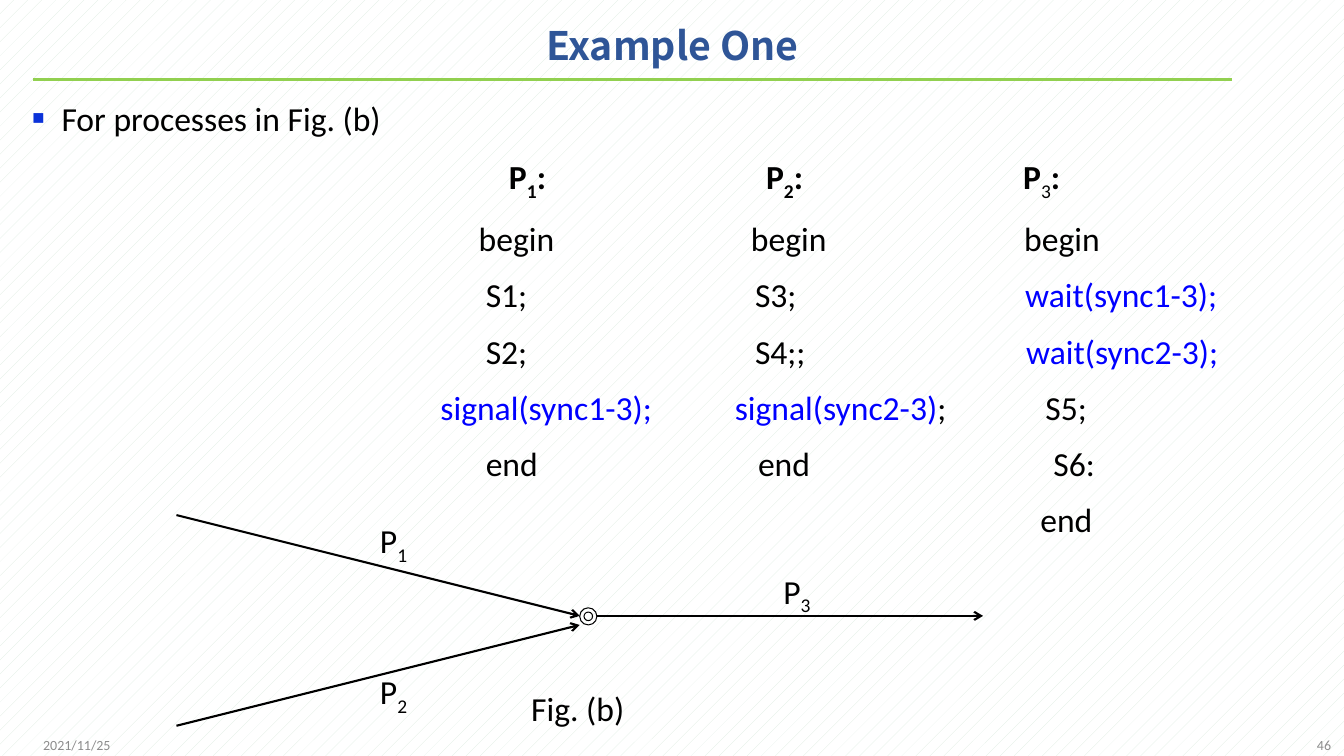
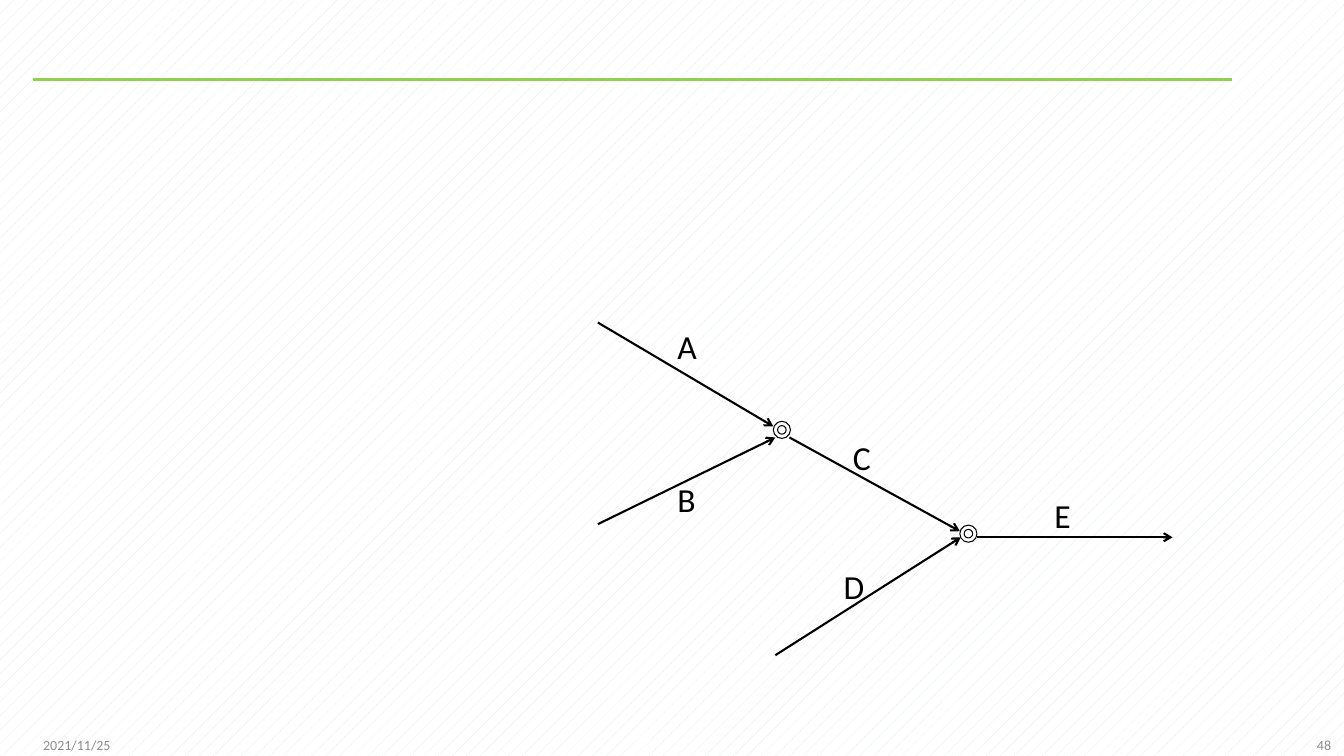
from lxml import etree
from pptx import Presentation
from pptx import util as u
from pptx.dml.color import RGBColor
from pptx.enum import dml, shapes, text
from pptx.oxml import ns

PX = 9144  # EMU in one px, 100 px to the inch
COLORS = {
    "black": "000000", "white": "FFFFFF", "hatch": "DCECE0", "rule": "92D050",
    "title": "2F5597", "bullet": "0B32D9", "code": "0000FF", "footer": "8C8C8C",
}
BODY_FONT, TITLE_FONT = "Calibri", "Noto Sans CJK SC"
NODE = 17  # diameter of a junction

BOLD, SUB, BLUE = {"bold": True}, {"sub": True}, {"color": "code"}


def process(number, **fmt):
    return [("P", BOLD), (number, {**SUB, **fmt}), (":", BOLD)]


# Left edge of each process listing, then its lines as (indent, runs)
LISTINGS = [
    (427, [(68, process("1", **BOLD)), (38, [("begin", {})]), (45, [("S1;", {})]),
           (45, [("S2;", {})]), (0, [("signal(sync1-3);", BLUE)]),
           (45, [("end", {})])]),
    (719, [(31, process("2", **BOLD)), (16, [("begin", {})]), (20, [("S3;", {})]),
           (20, [("S4;;", {})]), (0, [("signal(sync2-3)", BLUE), (";", {})]),
           (23, [("end", {})])]),
    (1005, [(0, process("3")), (1, [("begin", {})]), (2, [("wait(sync1-3);", BLUE)]),
            (3, [("wait(sync2-3);", BLUE)]), (22, [("S5;", {})]),
            (30, [("S6:", {})]), (17, [("end", {})])]),
]


def px(*values):
    return [u.Emu(v * PX) for v in values]


def rgb(name):
    return RGBColor.from_string(COLORS[name])


def add_run(p, content, size=24, color="black", font=BODY_FONT, bold=False, sub=False):
    r = p.add_run()
    r.text = content
    r.font.size, r.font.name, r.font.bold = u.Pt(size), font, bold
    r.font.color.rgb = rgb(color)
    if sub:
        r._r.get_or_add_rPr().set("baseline", "-25000")


def add_child(parent, tag, **attrs):
    return etree.SubElement(parent, ns.qn(tag), attrs)


def place(sp, *box):
    sp.left, sp.top, sp.width, sp.height = px(*box)


def add_line(s, start, end, color="black", width=1.5, arrow=True):
    line = s.shapes.add_connector(shapes.MSO_CONNECTOR.STRAIGHT, *px(*start, *end))
    line.line.color.rgb = rgb(color)
    line.line.width = u.Pt(width)
    if arrow:
        add_child(line.get_or_add_ln(), "a:tailEnd", type="arrow")
    add_child(line._element.spPr, "a:effectLst")


def add_node(s, x, y):
    sp = s.shapes.add_shape(shapes.MSO_SHAPE.DONUT, *px(x, y, NODE, NODE))
    sp.adjustments[0] = 0.25
    sp.shadow.inherit = False
    sp.fill.background()
    sp.line.color.rgb = rgb("black")
    sp.line.width = u.Pt(0.75)


def add_label(s, x, y, content, sub="", width=40):
    tf = s.shapes.add_textbox(*px(x, y, width, 50)).text_frame
    tf.word_wrap = False
    add_run(tf.paragraphs[0], content)
    if sub:
        add_run(tf.paragraphs[0], sub, sub=True)


def add_footer(s, x, content, align):
    tf = s.shapes.add_textbox(*px(x, 719, 300, 40)).text_frame
    tf.word_wrap = True
    tf.vertical_anchor = text.MSO_ANCHOR.MIDDLE
    tf.paragraphs[0].alignment = align
    add_run(tf.paragraphs[0], content, size=10, color="footer")


def add_slide(prs, layout, number):
    """Add a slide with the shared rule, date and page number."""
    s = prs.slides.add_slide(prs.slide_layouts[layout])
    add_line(s, (33, 79), (1222, 79), color="rule", width=2.25, arrow=False)
    add_footer(s, 33, "2021/11/25", text.PP_ALIGN.LEFT)
    add_footer(s, 1030, number, text.PP_ALIGN.RIGHT)
    return s


def set_title(s, content):
    sp = s.shapes.title
    place(sp, 34, 9, 1265, 77)
    tf = sp.text_frame
    tf.auto_size = text.MSO_AUTO_SIZE.NONE
    tf.vertical_anchor = text.MSO_ANCHOR.MIDDLE
    p = tf.paragraphs[0]
    p.alignment, p.line_spacing = text.PP_ALIGN.CENTER, 0.9
    add_run(p, content, size=28, color="title", font=TITLE_FONT, bold=True)


def set_indent(p, left, first=0):
    pPr = p._p.get_or_add_pPr()
    pPr.set("marL", str(left * PX))
    pPr.set("indent", str(first * PX))
    return pPr


def set_body(s, content):
    sp = s.placeholders[1]
    place(sp, 22, 84, 1294, 57)
    tf = sp.text_frame
    tf.auto_size = text.MSO_AUTO_SIZE.NONE
    p = tf.paragraphs[0]
    pPr = set_indent(p, 29, -29)
    add_child(add_child(pPr, "a:buClr"), "a:srgbClr", val=COLORS["bullet"])
    add_child(pPr, "a:buSzPct", val="60000")
    add_child(pPr, "a:buFont", typeface="Arial")
    add_child(pPr, "a:buChar", char="■")
    p.line_spacing, p.space_before = 1.2, u.Pt(0)
    add_run(p, content)


def add_listing(s, x, lines):
    tf = s.shapes.add_textbox(*px(x, 141, 260, 410)).text_frame
    tf.word_wrap = True
    for i, (indent, runs) in enumerate(lines):
        p = tf.add_paragraph() if i else tf.paragraphs[0]
        set_indent(p, indent)
        p.line_spacing = 1.2
        p.space_before = u.Pt(5.6 if i else 0)
        for content, fmt in runs:
            add_run(p, content, **fmt)


def add_graph(s, arrows, nodes, labels):
    for start, end in arrows:
        add_line(s, start, end)
    for node in nodes:
        add_node(s, *node)
    for label in labels:
        add_label(s, *label)


def main():
    prs = Presentation()
    prs.slide_width, prs.slide_height = px(1333, 750)

    # Shared background
    fill = prs.slide_master.background.fill
    fill.patterned()
    fill.pattern = dml.MSO_PATTERN.PERCENT_5
    fill.fore_color.rgb, fill.back_color.rgb = rgb("hatch"), rgb("white")

    # Two processes that join into a third
    s = add_slide(prs, 1, "46")
    set_title(s, "Example One")
    set_body(s, "For processes in Fig. (b)")
    for x, lines in LISTINGS:
        add_listing(s, x, lines)
    add_graph(
        s,
        arrows=[((175, 511), (575, 611)), ((175, 720), (575, 620)),
                ((592, 611), (975, 611))],
        nodes=[(575, 603)],
        labels=[(367, 511, "P", "1", 49), (367, 661, "P", "2", 49),
                (767, 561, "P", "3", 49), (517, 678, "Fig. (b)", "", 113)],
    )

    # Five processes with two joins
    s = add_slide(prs, 6, "48")
    add_graph(
        s,
        arrows=[((593, 320), (767, 423)), ((593, 520), (769, 434)),
                ((783, 434), (952, 527)), ((769, 650), (953, 533)),
                ((969, 533), (1163, 533))],
        nodes=[(767, 418), (952, 521)],
        labels=[(662, 318, "A"), (662, 470, "B"), (836, 429, "C"),
                (827, 557, "D"), (1036, 486, "E")],
    )

    prs.save("out.pptx")


if __name__ == "__main__":
    main()
